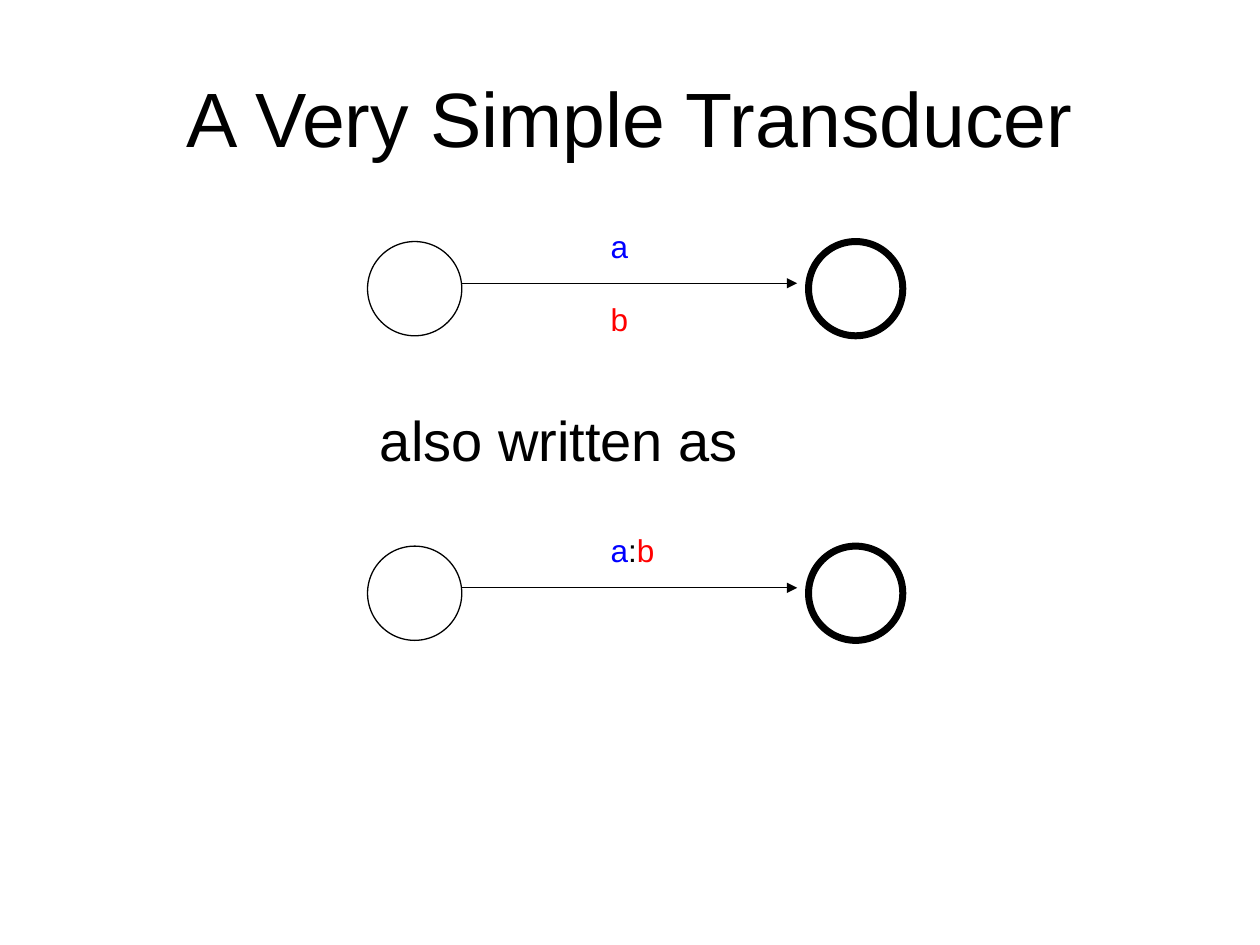
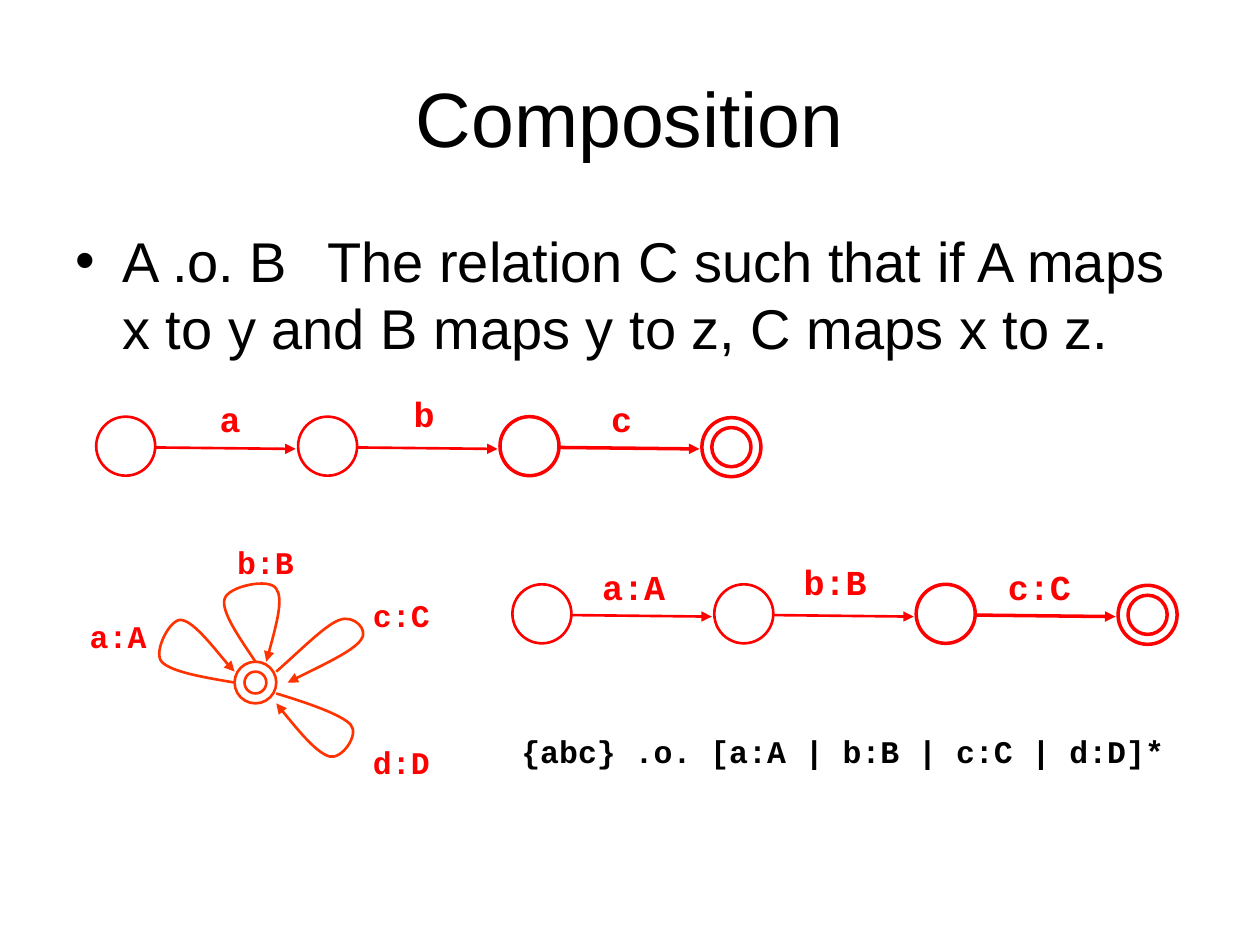
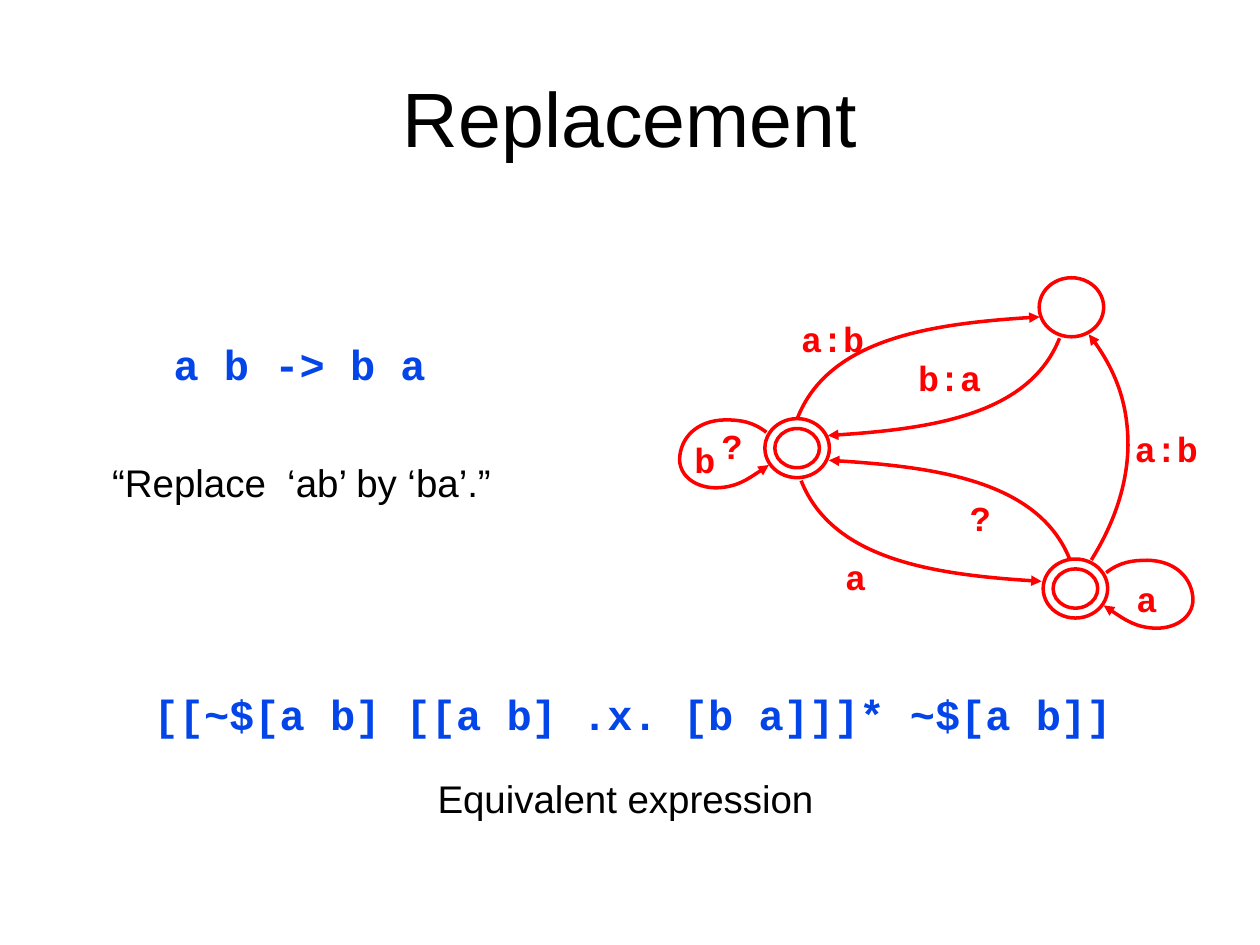
from dataclasses import dataclass

from lxml.etree import SubElement as Sub
from pptx import Presentation
from pptx.dml.color import RGBColor as RGB
from pptx.enum.shapes import MSO_CONNECTOR as Link, MSO_SHAPE as Form
from pptx.enum.text import PP_ALIGN as Align
from pptx.oxml.ns import qn
from pptx.util import Cm, Pt


@dataclass(frozen=True)
class Theme:
    sans: str = "Arial"
    mono: str = "Courier New"
    black: str = "000000"
    red: str = "FF0000"
    blue: str = "0000FF"
    royal: str = "0345E9"
    coral: str = "FF3300"
    title: int = 44
    body: int = 32
    code: int = 24
    note: int = 22
    tag: int = 20
    small: int = 18
    hair: float = 0.75
    thin: float = 1.5
    mid: float = 2
    bold: float = 4


T = Theme()
# Curves: a start, then three points for each cubic piece
ARC = ((0, 0), (0.13, 0.78), (0.57, 0.94), (1, 1))
SIDE = ((8.31, 5.69), (8.78, 4.94), (9.04, 4.15), (9.05, 3.38),
        (9.05, 2.6), (8.81, 1.84), (8.26, 1.14))
LOOP = ((0.62, -0.32), (0.89, -0.53), (1.14, -0.57), (1.45, -0.57),
        (2.03, -0.56), (2.36, -0.2), (2.37, 0.23),
        (2.36, 0.58), (2.03, 0.8), (1.63, 0.8),
        (1.22, 0.79), (0.89, 0.56), (0.57, 0.34))
# Each petal: its label, the label's place, its curve from the hub's centre
PETALS = (
    ("a:A", (-3.59, -1.44),
     ((-0.42, 0), (-1.08, -0.11), (-1.71, -0.22), (-1.89, -0.42),
      (-2.07, -0.62), (-1.71, -1.31), (-1.49, -1.26),
      (-1.23, -1.23), (-0.6, -0.39), (-0.42, -0.22))),
    ("b:B", (-0.62, -2.93),
     ((0, -0.42), (-0.34, -0.93), (-0.7, -1.44), (-0.62, -1.69),
      (-0.55, -1.94), (0.29, -2.12), (0.42, -1.89),
      (0.57, -1.69), (0.39, -1.05), (0.22, -0.42))),
    ("c:C", (2.12, -1.87),
     ((0.42, -0.22), (0.93, -0.67), (1.41, -1.16), (1.69, -1.26),
      (1.99, -1.38), (2.3, -1.05), (2.12, -0.85),
      (1.94, -0.62), (1.28, -0.32), (0.65, 0))),
    ("d:D", (2.12, 1.1),
     ((0.42, 0.22), (1.08, 0.42), (1.74, 0.65), (1.92, 0.85),
      (2.1, 1.05), (1.74, 1.56), (1.49, 1.49),
      (1.23, 1.41), (0.83, 0.93), (0.42, 0.42))),
)


# Text
def say(frame, text, size=T.small, font=T.sans, color=T.black, bold=False,
        align=Align.LEFT):
    """Write a string, or (string, colour) runs, as one paragraph."""
    para = frame.paragraphs[0]
    para.alignment = align
    runs = [(text, color)] if isinstance(text, str) else text
    for part, tint in runs:
        run = para.add_run()
        run.text = part
        run.font.size, run.font.name, run.font.bold = Pt(size), font, bold
        run.font.color.rgb = RGB.from_string(tint)
    return para


def label(shapes, box, text, **kw):
    frame = shapes.add_textbox(*map(Cm, box)).text_frame
    frame.word_wrap = True
    return say(frame, text, **kw)


def tag(shapes, x, y, text, size=T.tag):
    wide = 0.55 + 0.023 * size * len(text)
    label(shapes, (x, y, wide, 1.08), text, size=size, font=T.mono,
          color=T.red, bold=True)


# Lines and states
def ink(shape, color, width, head=False):
    shape.line.color.rgb = RGB.from_string(color)
    shape.line.width = Pt(width)
    if head:
        Sub(shape.element.spPr.find(qn("a:ln")), qn("a:tailEnd"),
            type="triangle")


def arrow(shapes, start, end, color, width):
    line = shapes.add_connector(Link.STRAIGHT, *map(Cm, start + end))
    ink(line, color, width, head=True)
    Sub(line.element.spPr, qn("a:effectLst"))


def state(shapes, box, color, width, final=False):
    x, y, w, h = box
    for gap in (0, 0.2) if final else (0,):
        ring = shapes.add_shape(Form.OVAL, Cm(x + gap), Cm(y + gap),
                                Cm(w - 2 * gap), Cm(h - 2 * gap))
        ring.shadow.inherit = False
        ring.fill.background()
        ink(ring, color, width)


def curve(shapes, pts, color, width):
    """Draw an arrow along joined cubic pieces."""
    ends = [(Cm(x), Cm(y)) for x, y in pts]
    form = shapes.build_freeform(*ends[0])
    form.add_line_segments(ends[1:], close=False)
    shape = form.convert_to_shape()
    shape.shadow.inherit = False
    shape.fill.background()
    ink(shape, color, width, head=True)

    # Turn each three straight pieces into one cubic
    track = next(shape.element.iter(qn("a:path")))
    lines = track.findall(qn("a:lnTo"))
    for i in range(0, len(lines), 3):
        cubic = Sub(track, qn("a:cubicBezTo"))
        for line in lines[i:i + 3]:
            cubic.append(line[0])
            track.remove(line)


def place(pts, x, y, sx=1, sy=1):
    return [(x + sx * px, y + sy * py) for px, py in pts]


# Regions
def pair(shapes, x, y, tags):
    """A plain state, an arrow with labels, a final state."""
    state(shapes, (x, y, 1.9, 1.9), T.black, T.hair)
    state(shapes, (x + 8.89, y, 1.9, 1.9), T.black, T.bold)
    arrow(shapes, (x + 1.9, y + 0.84), (x + 8.66, y + 0.84), T.black, T.hair)
    for dy, runs in tags:
        label(shapes, (x + 4.65, y + dy, 1.4, 1.02), runs)


def chain(shapes, x, y, tags):
    """Four states in a row; tags hold text and offset from the left."""
    pitch, size = 4.07, 1.19
    for i in range(4):
        left = x + i * pitch
        width = T.thin if i < 2 else T.mid
        last = i == 3
        state(shapes, (left, y + 0.02 * last, size, size), T.red, width,
              final=last)
        if not last:
            arrow(shapes, (left + size, y + 0.62), (left + 4.02, y + 0.65),
                  T.red, width)
    for (text, dx), dy in zip(tags, (-0.51, -0.61, -0.51)):
        tag(shapes, x + dx, y + dy, text)


def flower(shapes, x, y):
    """A final state at (x, y) with four loops round it."""
    state(shapes, (x - 0.42, y - 0.42, 0.84, 0.84), T.coral, T.thin,
          final=True)
    for text, (dx, dy), pts in PETALS:
        curve(shapes, place(pts, x, y), T.coral, T.thin)
        tag(shapes, x + dx, y + dy, text, T.small)


def network(shapes, x, y):
    """Three states joined by arcs, from the left state's loop."""
    w, h = 1.3, 1.19
    spots = ((1.73, 2.84, True), (7.26, 0, False), (7.34, 5.67, True))
    for dx, dy, final in spots:
        state(shapes, (x + dx, y + dy, w, h), T.red, T.mid, final)

    # Loops on the two final states
    for (dx, dy, _), turn in zip(spots[::2], (-1, 1)):
        curve(shapes, place(LOOP, x + dx + w / 2, y + dy + h / 2, turn),
              T.red, T.mid)

    # Arcs: start, then reach across and down
    for dx, dy, sx, sy in ((2.39, 2.82, 4.88, -2.03),
                           (7.67, 1.22, -4.67, 1.96),
                           (7.87, 5.66, -4.85, -1.98),
                           (2.46, 4.09, 4.85, 2.03)):
        curve(shapes, place(ARC, x + dx, y + dy, sx, sy), T.red, T.mid)
    curve(shapes, place(SIDE, x, y), T.red, T.mid)

    for text, dx, dy in (("a:b", 2.21, 0.68), ("b", 0.06, 3.12),
                         ("a", 3.1, 5.48), ("?", 0.61, 2.84),
                         ("?", 5.61, 4.28), ("b:a", 4.57, 1.47),
                         ("a", 8.97, 5.91), ("a:b", 8.94, 2.89)):
        tag(shapes, x + dx, y + dy, text)


def rule(shapes, box, code, note, shift):
    """A centred expression; shift gives its note's offset and width."""
    x, y, w, h = box
    dx, dy, wide = shift
    label(shapes, box, code, size=T.code, font=T.mono, color=T.royal,
          bold=True, align=Align.CENTER)
    label(shapes, (x + dx, y + dy, wide, 1.17), note, size=T.note,
          align=Align.CENTER)


def bullet(shapes, box, text):
    para = label(shapes, box, text, size=T.body)
    props = para._p.get_or_add_pPr()
    props.set("marL", str(Cm(0.95)))
    props.set("indent", str(Cm(-0.95)))
    Sub(props, qn("a:buFont"), typeface=T.sans)
    Sub(props, qn("a:buChar"), char="•")
    stops = Sub(props, qn("a:tabLst"))
    Sub(stops, qn("a:tab"), pos=str(Cm(5.08)), algn="l")
    para.line_spacing = Pt(38.5)


# Slides
def page(deck, title):
    slide = deck.slides.add_slide(deck.slide_layouts[5])
    head = slide.shapes.title
    head.left, head.top = Cm(1.27), Cm(0.76)
    head.width, head.height = Cm(22.86), Cm(3.18)
    say(head.text_frame, title, size=T.title, align=Align.CENTER)
    return slide.shapes


def simple(deck):
    shapes = page(deck, "A Very Simple Transducer")
    a, b = ("a", T.blue), ("b", T.red)
    pair(shapes, 7.41, 4.87, ((-0.42, [a]), (1.05, [b])))
    label(shapes, (7.41, 8.05, 7.9, 1.63), "also written as", size=T.body)
    pair(shapes, 7.41, 11.01, ((-0.42, [a, (":", T.black), b]),))


def compose(deck):
    shapes = page(deck, "Composition")
    bullet(shapes, (1.27, 4.43, 22.86, 12.57),
           "A .o. B\tThe relation C such that if A maps x to y "
           "and B maps y to z, C maps x to z.")
    chain(shapes, 1.94, 8.4, (("a", 2.24), ("b", 6.15), ("c", 10.13)))
    chain(shapes, 10.33, 11.78,
          (("a:A", 1.56), ("b:B", 5.62), ("c:C", 9.74)))
    flower(shapes, 5.15, 13.76)
    label(shapes, (10.26, 14.63, 13.6, 1.02),
          "{abc} .o. [a:A | b:B | c:C | d:D]*", font=T.mono, bold=True)


def replace(deck):
    shapes = page(deck, "Replacement")
    network(shapes, 13.69, 5.6)
    rule(shapes, (3.14, 6.69, 5.8, 1.27), "a b -> b a",
         "“Replace  ‘ab’ by ‘ba’.”", (-1.26, 2.43, 8.4))
    rule(shapes, (2.59, 13.75, 20.32, 1.27),
         "[[~$[a b] [[a b] .x. [b a]]]* ~$[a b]]",
         "Equivalent expression", (5.77, 1.75, 8.5))


def main():
    deck = Presentation()
    deck.slide_width, deck.slide_height = Cm(25.4), Cm(19.05)
    for build in (simple, compose, replace):
        build(deck)
    deck.save("out.pptx")


if __name__ == "__main__":
    main()
